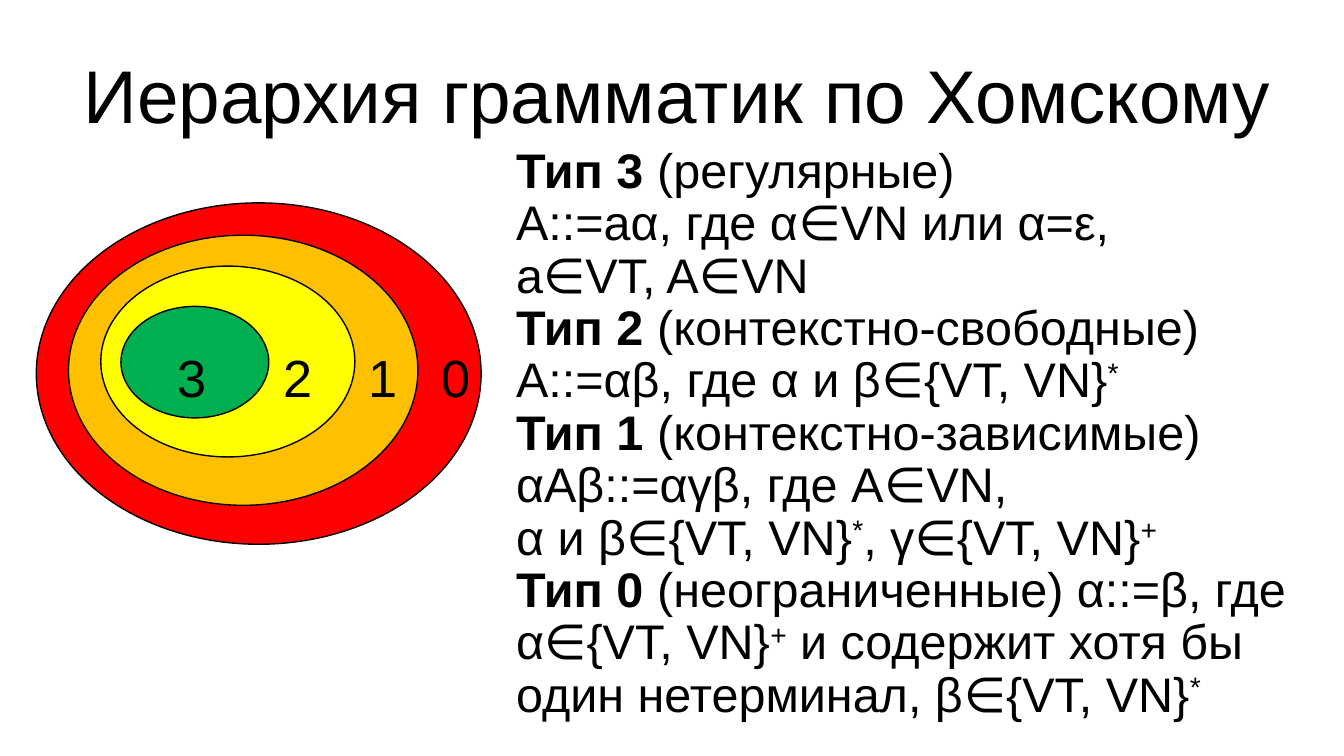
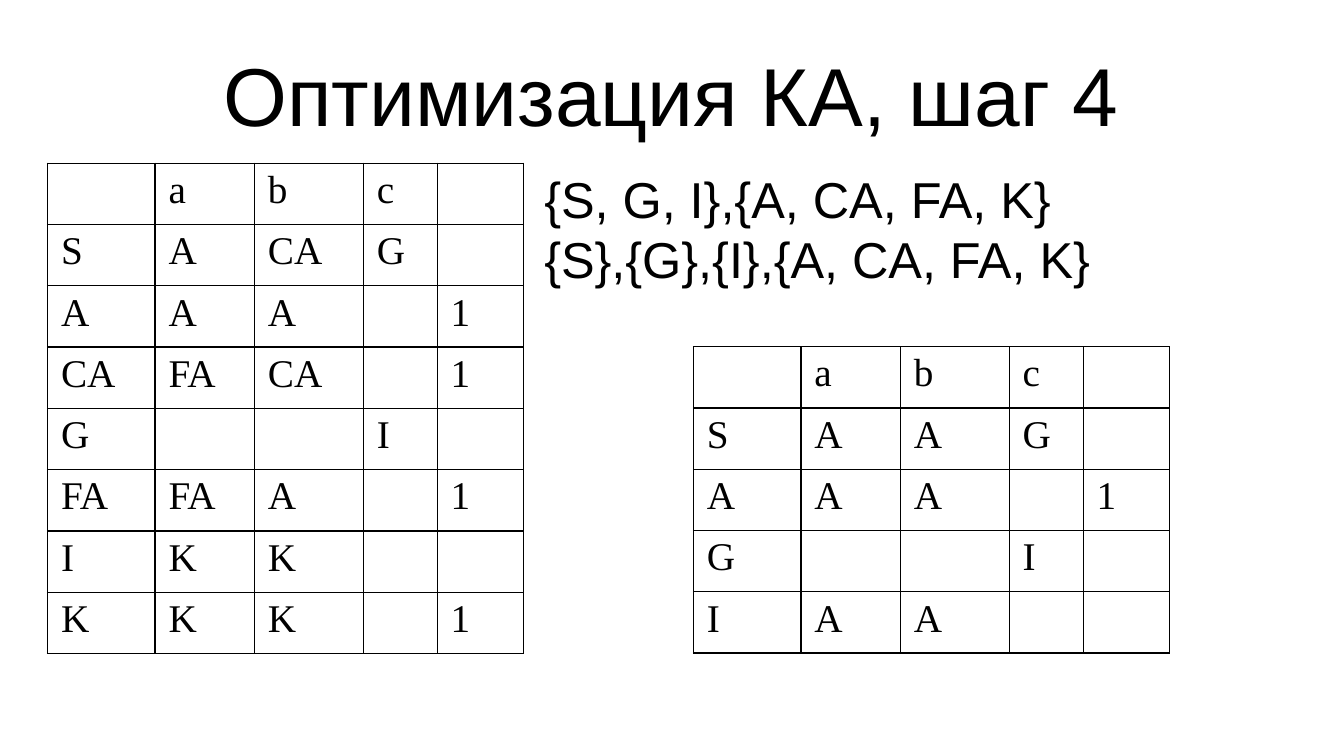
from dataclasses import dataclass
from itertools import groupby

from lxml import etree
from pptx import Presentation
from pptx import util as u
from pptx.dml.color import RGBColor
from pptx.enum import shapes, text
from pptx.oxml.ns import qn

COLUMNS, ROWS = 100, 56.25  # grid squares of a tenth of an inch


@dataclass(frozen=True)
class Theme:
    ink: str = "000000"
    paper: str = "FFFFFF"
    rings: tuple = ("FF0000", "FFC000", "FFFF00", "00B050")
    sans: str = "Arial"
    serif: str = "Times New Roman"
    symbol: str = "Open Sans"
    small_title: float = 40
    title: float = 44
    grammar: float = 26
    states: float = 27
    label: float = 28
    cell: float = 21
    line: float = 0.75


def char_kind(char):
    """Sort characters of a grammar rule into runs of one format."""
    return {"∈": "symbol", "*": "superscript", "+": "superscript",
            "\n": "break"}.get(char, "plain")


class Deck:
    def __init__(self, theme):
        self.theme = theme
        self.presentation = Presentation()
        self.presentation.slide_width = u.Inches(10)
        self.presentation.slide_height = u.Inches(10 * 9 / 16)
        self.slide = None

    def frame(self, left, top, width, height):
        """Turn grid columns and rows into lengths."""
        column = self.presentation.slide_width / COLUMNS
        row = self.presentation.slide_height / ROWS
        return [round(n * unit) for n, unit in
                zip((left, top, width, height), (column, row, column, row))]

    def style(self, font, size, name=None):
        font.name = name or self.theme.sans
        font.size = u.Pt(size)
        font.color.rgb = RGBColor.from_string(self.theme.ink)

    def place(self, shape, box):
        shape.left, shape.top, shape.width, shape.height = self.frame(*box)
        shape.text_frame.auto_size = text.MSO_AUTO_SIZE.NONE
        shape.text_frame.word_wrap = True

    def new_slide(self, title, box, size):
        layout = self.presentation.slide_layouts[1]
        self.slide = self.presentation.slides.add_slide(layout)
        fill = self.slide.background.fill
        fill.solid()
        fill.fore_color.rgb = RGBColor.from_string(self.theme.paper)
        shape = self.slide.shapes.title
        self.place(shape, box)
        shape.text_frame.text = title
        shape.text_frame.vertical_anchor = text.MSO_ANCHOR.MIDDLE
        paragraph = shape.text_frame.paragraphs[0]
        paragraph.alignment = text.PP_ALIGN.CENTER
        self.style(paragraph.runs[0].font, size)

    def body(self, lines, box, size, spacing=1.0):
        """Fill the body with (bold heading, rule) pairs, without bullets."""
        shape = self.slide.placeholders[1]
        self.place(shape, box)
        frame = shape.text_frame
        for index, (heading, rule) in enumerate(lines):
            paragraph = frame.add_paragraph() if index else frame.paragraphs[0]
            paragraph.line_spacing = spacing
            paragraph.space_before = u.Pt(0)
            properties = paragraph._p.get_or_add_pPr()
            properties.set("marL", "0")
            properties.set("indent", "0")
            etree.SubElement(properties, qn("a:buNone"))
            if heading:
                self.run(paragraph, heading, size).font.bold = True
            for kind, chars in groupby(rule, char_kind):
                if kind == "break":
                    paragraph.add_line_break()
                else:
                    self.run(paragraph, "".join(chars), size, kind)
        return frame

    def run(self, paragraph, words, size, kind="plain"):
        run = paragraph.add_run()
        run.text = words
        self.style(run.font, size, self.theme.symbol if kind == "symbol" else None)
        if kind == "superscript":
            run._r.get_or_add_rPr().set("baseline", "30000")
        return run

    def ellipse(self, box, color):
        shape = self.slide.shapes.add_shape(shapes.MSO_SHAPE.OVAL, *self.frame(*box))
        shape.shadow.inherit = False
        shape.fill.solid()
        shape.fill.fore_color.rgb = RGBColor.from_string(color)
        shape.line.color.rgb = RGBColor.from_string(self.theme.ink)
        shape.line.width = u.Pt(self.theme.line)

    def label(self, words, box):
        shape = self.slide.shapes.add_textbox(*self.frame(*box))
        self.place(shape, box)
        shape.text_frame.text = words
        self.style(shape.text_frame.paragraphs[0].runs[0].font, self.theme.label)

    def table(self, rows, left, top, widths, row_height):
        box = self.frame(left, top, sum(widths), row_height * len(rows))
        table = self.slide.shapes.add_table(len(rows), len(widths), *box).table
        table.first_row = table.horz_banding = False
        for column, width in zip(table.columns, widths):
            column.width = self.frame(width, 0, 0, 0)[0]
        for row, values in enumerate(rows):
            for column, value in enumerate(values):
                self.cell(table.cell(row, column), value, justified=column < 3)

    def cell(self, cell, value, justified):
        self.borders(cell)
        cell.fill.background()
        cell.margin_top = cell.margin_bottom = u.Inches(0.04)
        cell.text_frame.text = value
        paragraph = cell.text_frame.paragraphs[0]
        paragraph.alignment = (text.PP_ALIGN.JUSTIFY if justified
                               else text.PP_ALIGN.LEFT)
        for run in paragraph.runs:
            self.style(run.font, self.theme.cell, self.theme.serif)

    def borders(self, cell):
        properties = cell._tc.get_or_add_tcPr()
        for side in ("lnL", "lnR", "lnT", "lnB"):
            line = etree.SubElement(properties, qn(f"a:{side}"),
                                    w=str(u.Pt(self.theme.line)))
            fill = etree.SubElement(line, qn("a:solidFill"))
            etree.SubElement(fill, qn("a:srgbClr"), val=self.theme.ink)


def grammar_slide(deck):
    theme = deck.theme
    deck.new_slide("Иерархия грамматик по Хомскому",
                   (3.5, 2.3, 93.7, 9.4), theme.small_title)
    deck.body([
        ("Тип 3", " (регулярные)"),
        ("", "A::=aα, где α∈VN или α=ε, \na∈VT, A∈VN"),
        ("Тип 2", " (контекстно-свободные) A::=αβ, где α и β∈{VT, VN}*"),
        ("Тип 1", " (контекстно-зависимые) αAβ::=αγβ, где A∈VN, \n"
                  "α и β∈{VT, VN}*, γ∈{VT, VN}+"),
        ("Тип 0", " (неограниченные) α::=β, где α∈{VT, VN}+ "
                  "и содержит хотя бы один нетерминал, β∈{VT, VN}*"),
    ], (37.4, 10.4, 62.6, 45.8), theme.grammar, spacing=0.9)
    ring_boxes = [(2.7, 15.1, 33.1, 25.4), (5.1, 17.5, 26, 20.1),
                  (7.5, 19.8, 18.9, 14.2), (9, 22.8, 11, 8.3)]
    for box, color in zip(ring_boxes, theme.rings):
        deck.ellipse(box, color)
    for words, left in zip("3210", (12.2, 20.1, 26.4, 31.9)):
        deck.label(words, (left, 25.2, 4.7, 4.3))


def automaton_slide(deck):
    theme = deck.theme
    deck.new_slide("Оптимизация КА, шаг 4", (5, 2.3, 90, 9.4), theme.title)
    widths, row_height = (8, 7.4, 8.1, 5.5, 6.4), 4.56
    header = ("", "a", "b", "c", "")
    deck.table([
        header,
        ("S", "A", "CA", "G", ""),
        ("A", "A", "A", "", "1"),
        ("CA", "FA", "CA", "", "1"),
        ("G", "", "", "I", ""),
        ("FA", "FA", "A", "", "1"),
        ("I", "K", "K", "", ""),
        ("K", "K", "K", "", "1"),
    ], 3.54, 12.15, widths, row_height)
    frame = deck.body([("", "{S, G, I},{A, CA, FA, K}"),
                       ("", "{S},{G},{I},{A, CA, FA, K}")],
                      (39.5, 11.8, 43, 12.3), theme.states)
    frame.vertical_anchor = text.MSO_ANCHOR.MIDDLE
    frame.margin_bottom = u.Inches(0.24)
    deck.table([
        header,
        ("S", "A", "A", "G", ""),
        ("A", "A", "A", "", "1"),
        ("G", "", "", "I", ""),
        ("I", "A", "A", "", ""),
    ], 51.6, 25.8, widths, row_height)


def main():
    deck = Deck(Theme())
    grammar_slide(deck)
    automaton_slide(deck)
    deck.presentation.save("out.pptx")


if __name__ == "__main__":
    main()
